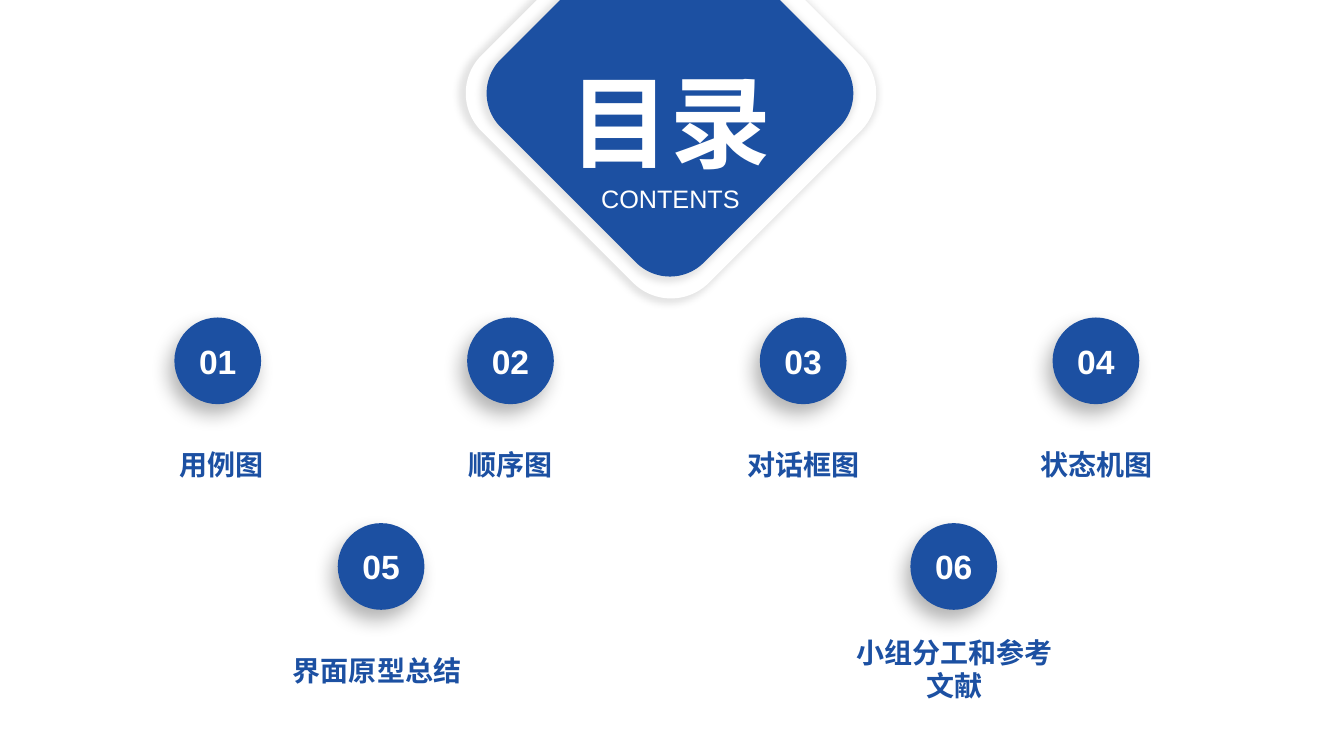
import pptx
import pptx.dml.color
import pptx.enum.shapes
import pptx.enum.text
import pptx.oxml
import pptx.oxml.ns
import pptx.util
from pptx.util import Inches

BLUE = pptx.dml.color.RGBColor(0x1C, 0x50, 0xA2)
WHITE = pptx.dml.color.RGBColor(0xFF, 0xFF, 0xFF)

PRESET = pptx.enum.shapes.MSO_SHAPE
ANCHOR = pptx.enum.text.MSO_ANCHOR

# Blur (pt), distance (pt), direction (degrees), opacity (%), scale (%)
GLOW = (5, 0, 0, 11, 102)
DROP = (14, 8, 120, 30, 100)

CIRCLE_SIZE = 0.86
LABEL_WIDTH = 2.3
TOP_ROW, BOTTOM_ROW = 3.15, 5.19
FIRST_CIRCLE, LAST_CIRCLE = 1.73, 10.44
CIRCLE_PITCH = (LAST_CIRCLE - FIRST_CIRCLE) / 3

# Circle left, circle top, label, label left, label top, label height
CHAPTERS = [
    (FIRST_CIRCLE + column * CIRCLE_PITCH, TOP_ROW, label, left, 4.4, 0.41)
    for column, (label, left) in enumerate(
        [("用例图", 1.05), ("顺序图", 3.91), ("对话框图", 6.82), ("状态机图", 9.73)]
    )
] + [
    (3.35, BOTTOM_ROW, "界面原型总结", 2.59, 6.44, 0.41),
    (9.03, BOTTOM_ROW, "小组分工和参考文献", 8.32, 6.26, 0.75),
]


class ContentsSlide:
    def __init__(self, deck):
        self.slide = deck.slides.add_slide(deck.slide_layouts[5])
        self.shapes = self.slide.shapes
        self.slide.background.fill.solid()
        self.slide.background.fill.fore_color.rgb = WHITE

    def set_text(self, shape, text, size, font, color, bold=True,
                 anchor=ANCHOR.TOP, insets=(0.1, 0.05)):
        frame = shape.text_frame
        frame.word_wrap = True
        frame.vertical_anchor = anchor
        frame.margin_left = frame.margin_right = Inches(insets[0])
        frame.margin_top = frame.margin_bottom = Inches(insets[1])
        paragraph = frame.paragraphs[0]
        paragraph.alignment = pptx.enum.text.PP_ALIGN.CENTER
        run = paragraph.add_run()
        run.text = text
        run.font.size = pptx.util.Pt(size)
        run.font.name = font
        run.font.bold = bold
        run.font.color.rgb = color

    def cast_shadow(self, shape, blur, distance, direction, opacity, scale):
        shape.shadow.inherit = False
        effects = shape.element.spPr.find(pptx.oxml.ns.qn("a:effectLst"))
        effects.append(pptx.oxml.parse_xml(
            f'<a:outerShdw {pptx.oxml.ns.nsdecls("a")} blurRad="{blur * 12700}"'
            f' dist="{distance * 12700}" dir="{direction * 60000}"'
            f' sx="{scale * 1000}" sy="{scale * 1000}" algn="ctr" rotWithShape="0">'
            f'<a:srgbClr val="000000"><a:alpha val="{opacity * 1000}"/></a:srgbClr>'
            '</a:outerShdw>'
        ))

    def add_preset(self, preset, left, top, size, color, shadow):
        shape = self.shapes.add_shape(
            preset, Inches(left), Inches(top), Inches(size), Inches(size))
        shape.fill.solid()
        shape.fill.fore_color.rgb = color
        shape.line.fill.background()
        self.cast_shadow(shape, *shadow)
        return shape

    def add_diamond(self, left, top, size, color):
        diamond = self.add_preset(
            PRESET.ROUNDED_RECTANGLE, left, top, size, color, GLOW)
        diamond.rotation = 45

    def add_number(self, left, top, number):
        circle = self.add_preset(PRESET.OVAL, left, top, CIRCLE_SIZE, BLUE, DROP)
        self.set_text(circle, number, 24, "Arial", WHITE,
                      anchor=ANCHOR.MIDDLE, insets=(0, 0))

    def add_text(self, left, top, width, height, *words, **style):
        box = self.shapes.add_textbox(
            Inches(left), Inches(top), Inches(width), Inches(height))
        self.set_text(box, *words, **style)
        box.text_frame.auto_size = pptx.enum.text.MSO_AUTO_SIZE.SHAPE_TO_FIT_TEXT

    def place_title(self, left, top, width, height, text):
        """Move the title placeholder in front of the shapes drawn so far."""
        title = self.shapes.title
        title.left, title.top = Inches(left), Inches(top)
        title.width, title.height = Inches(width), Inches(height)
        self.set_text(title, text, 72, "Calibri", WHITE)
        title.text_frame.auto_size = pptx.enum.text.MSO_AUTO_SIZE.SHAPE_TO_FIT_TEXT
        title.element.getparent().append(title.element)


def main():
    deck = pptx.Presentation()
    deck.slide_width, deck.slide_height = Inches(13.33), Inches(7.5)
    contents = ContentsSlide(deck)

    contents.add_diamond(5.06, -0.67, 3.19, WHITE)
    contents.add_diamond(5.22, -0.5, 2.85, BLUE)
    contents.place_title(4.75, 0.54, 3.8, 1.31, "目录")
    contents.add_text(4.75, 1.77, 3.8, 0.4, "CONTENTS", 18, "Arial", WHITE, bold=False)

    for number, chapter in enumerate(CHAPTERS, start=1):
        circle_left, circle_top, label, label_left, label_top, height = chapter
        contents.add_number(circle_left, circle_top, f"{number:02}")
        contents.add_text(label_left, label_top, LABEL_WIDTH, height,
                          label, 20, "Calibri", BLUE, insets=(0.07, 0.04))

    deck.save("out.pptx")


if __name__ == "__main__":
    main()
